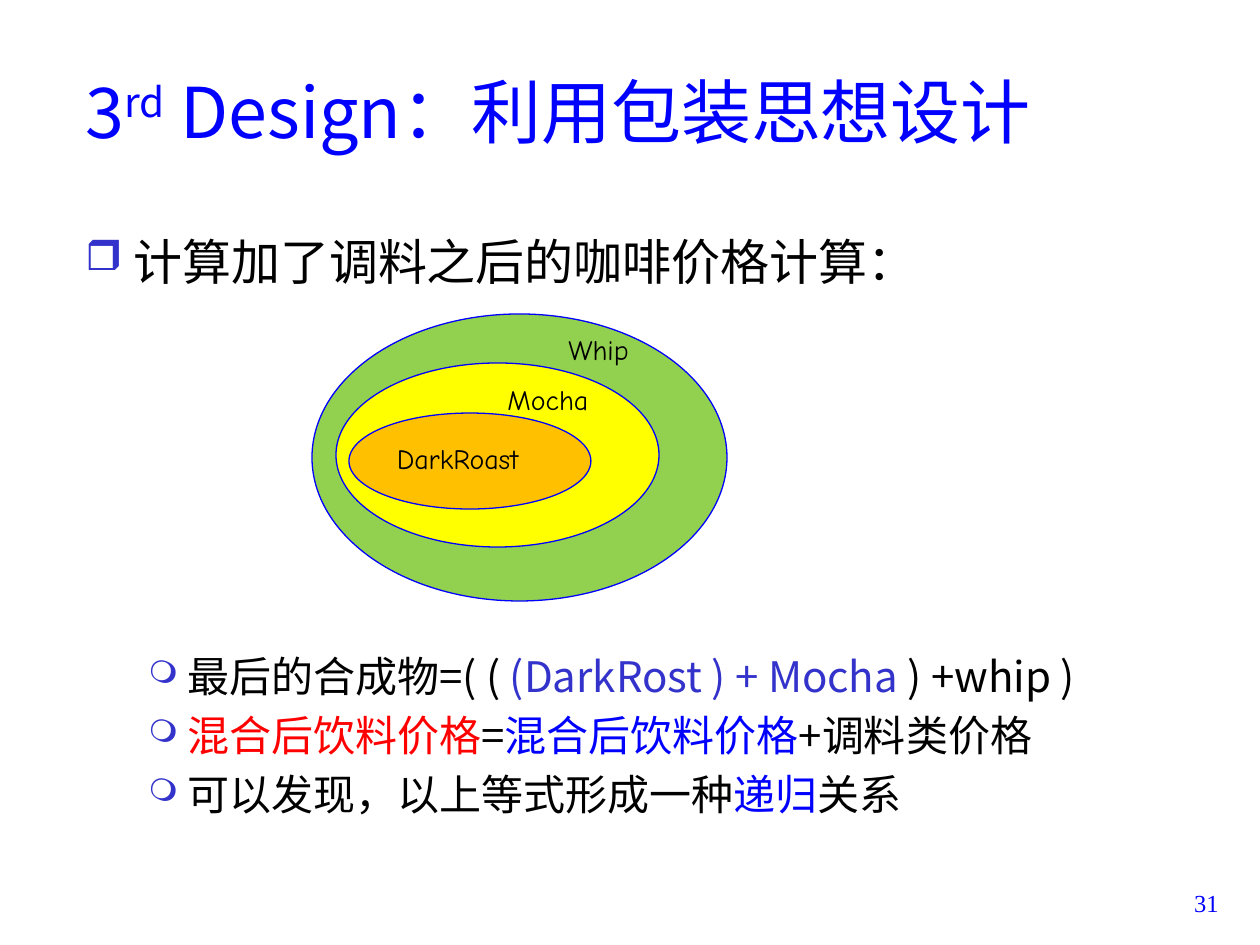
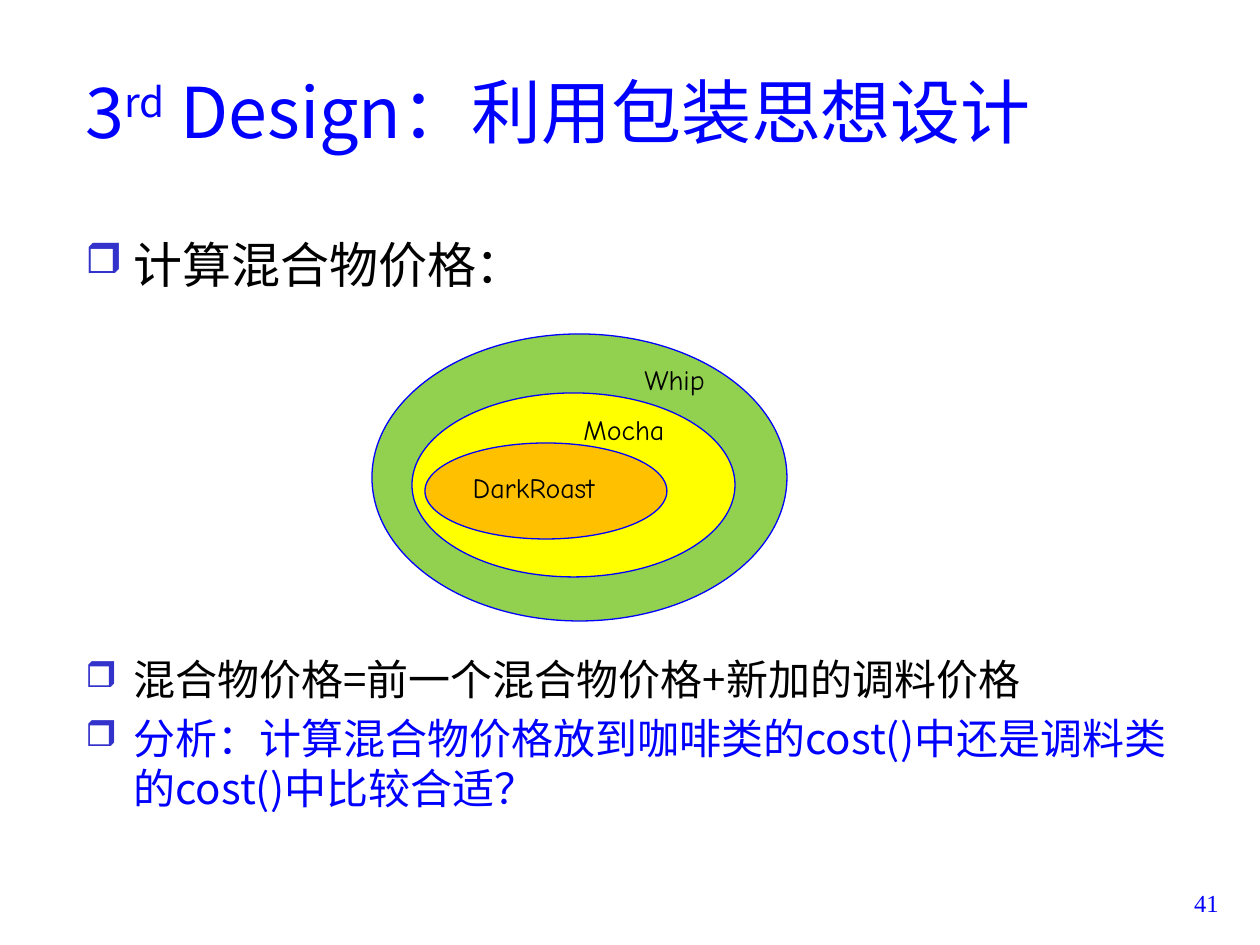
from dataclasses import dataclass
from typing import NamedTuple

from lxml.etree import SubElement
from pptx import Presentation
from pptx.dml.color import RGBColor
from pptx.enum.shapes import MSO_SHAPE
from pptx.enum.text import MSO_ANCHOR, MSO_AUTO_SIZE, PP_ALIGN
from pptx.oxml.ns import qn
from pptx.util import Emu, Pt

SCALE = 914400 / 126


@dataclass(frozen=True)
class Theme:
    sans: str = "Noto Sans CJK SC"
    comic: str = "Comic Neue"
    serif: str = "Times New Roman"
    black: str = "000000"
    blue: str = "0000FF"
    navy: str = "3333CC"
    red: str = "FF0000"
    green: str = "92D050"
    yellow: str = "FFFF00"
    orange: str = "FFC000"
    title: int = 40
    head: int = 28
    point: int = 24
    label: int = 16
    page: int = 14


THEME = Theme()


class Box(NamedTuple):
    left: int
    top: int
    width: int
    height: int


class Bit(NamedTuple):
    text: str
    color: str = THEME.black
    lift: int = 0


class Level(NamedTuple):
    mark: str
    share: int
    margin: int
    hang: int
    size: int
    line: int


class Point(NamedTuple):
    level: Level
    before: int
    bits: list[Bit]


class Ring(NamedTuple):
    box: Box
    fill: str


class Label(NamedTuple):
    text: str
    box: Box


class Page(NamedTuple):
    number: int
    body: Box
    cup: tuple[int, int]
    mix: tuple[int, int]
    points: list[Point]


HEAD = Level("❒", 85, 48, 48, THEME.head, 63)
MAIN = Level("❒", 85, 48, 48, THEME.point, 50)
SUB = Level("❍", 75, 102, 39, THEME.point, 50)
GAP, STEP = 361, 9

TITLE = [
    Bit("3", THEME.blue),
    Bit("rd", THEME.blue, 30),
    Bit(" Design：利用包装思想设计", THEME.blue),
]
TITLE_BOX = Box(73, 32, 1071, 158)
PAGE_BOX = Box(1147, 882, 84, 63)

CUP = Ring(Box(0, 0, 415, 287), THEME.green)
MIX = [
    Ring(Box(0, 0, 323, 184), THEME.yellow),
    Ring(Box(13, 50, 242, 96), THEME.orange),
]
LABELS = [
    Label("Mocha", Box(159, 20, 121, 40)),
    Label("Whip", Box(220, -30, 126, 40)),
]

PAGES = [
    Page(31, Box(73, 221, 1072, 639), (312, 314), (336, 363), [
        Point(HEAD, 0, [Bit("计算加了调料之后的咖啡价格计算：")]),
        Point(SUB, GAP, [
            Bit("最后的合成物=( ( "),
            Bit("(DarkRost ) + Mocha ", THEME.navy),
            Bit(") +whip )"),
        ]),
        Point(SUB, STEP, [
            Bit("混合后饮料价格", THEME.red),
            Bit("="),
            Bit("混合后饮料价格", THEME.blue),
            Bit("+调料类价格"),
        ]),
        Point(SUB, STEP, [
            Bit("可以发现，以上等式形成一种"),
            Bit("递归", THEME.blue),
            Bit("关系"),
        ]),
    ]),
    Page(41, Box(73, 224, 1142, 679), (372, 334), (412, 393), [
        Point(HEAD, 0, [Bit("计算混合物价格：")]),
        Point(MAIN, GAP, [Bit("混合物价格=前一个混合物价格+新加的调料价格")]),
        Point(MAIN, STEP, [
            Bit("分析：计算混合物价格放到咖啡类的cost()中还是调料类的cost()中比较合适？",
                THEME.blue),
        ]),
    ]),
]


def px(count: int) -> Emu:
    return Emu(round(count * SCALE))


def place(box: Box) -> list[Emu]:
    return [px(side) for side in box]


def shift(box: Box, spot: tuple[int, int]) -> Box:
    return box._replace(left=box.left + spot[0], top=box.top + spot[1])


def add_bits(para, bits: list[Bit], size: int, face: str) -> None:
    for bit in bits:
        run = para.add_run()
        run.text = bit.text
        run.font.size = Pt(size)
        run.font.color.rgb = RGBColor.from_string(bit.color)
        run.font.name = face
        props = run.font._element
        SubElement(props, qn("a:ea"), typeface=face)
        if bit.lift:
            props.set("baseline", str(bit.lift * 1000))


def add_frame(slide, box: Box):
    frame = slide.shapes.add_textbox(*place(box)).text_frame
    frame.word_wrap = True
    return frame


def add_title(slide) -> None:
    shape = slide.shapes.title
    shape.left, shape.top, shape.width, shape.height = place(TITLE_BOX)
    frame = shape.text_frame
    frame.auto_size = MSO_AUTO_SIZE.NONE
    frame.vertical_anchor = MSO_ANCHOR.MIDDLE
    para = frame.paragraphs[0]
    para.alignment = PP_ALIGN.LEFT
    add_bits(para, TITLE, THEME.title, THEME.sans)


def set_mark(para, level: Level) -> None:
    props = para._p.get_or_add_pPr()
    props.set("marL", str(px(level.margin)))
    props.set("indent", str(px(-level.hang)))
    tint = SubElement(props, qn("a:buClr"))
    SubElement(tint, qn("a:srgbClr"), val=THEME.navy)
    SubElement(props, qn("a:buSzPct"), val=str(level.share * 1000))
    SubElement(props, qn("a:buChar"), char=level.mark)


def add_body(slide, box: Box, points: list[Point]) -> None:
    frame = add_frame(slide, box)
    for rank, point in enumerate(points):
        para = frame.add_paragraph() if rank else frame.paragraphs[0]
        set_mark(para, point.level)
        para.line_spacing = px(point.level.line)
        para.space_before = px(point.before)
        add_bits(para, point.bits, point.level.size, THEME.sans)


def add_ring(slide, ring: Ring, spot: tuple[int, int]):
    shape = slide.shapes.add_shape(MSO_SHAPE.OVAL, *place(shift(ring.box, spot)))
    shape.shadow.inherit = False
    shape.fill.solid()
    shape.fill.fore_color.rgb = RGBColor.from_string(ring.fill)
    shape.line.color.rgb = RGBColor.from_string(THEME.blue)
    shape.line.width = Pt(0.75)
    return shape


def add_label(frame, text: str) -> None:
    para = frame.paragraphs[0]
    para.alignment = PP_ALIGN.LEFT
    para.line_spacing = 0.8
    add_bits(para, [Bit(text)], THEME.label, THEME.comic)


def add_drink(slide, page: Page) -> None:
    add_ring(slide, CUP, page.cup)
    rings = [add_ring(slide, ring, page.mix) for ring in MIX]
    core = rings[-1].text_frame
    core.vertical_anchor = MSO_ANCHOR.MIDDLE
    add_label(core, "DarkRoast")
    for label in LABELS:
        add_label(add_frame(slide, shift(label.box, page.mix)), label.text)


def add_number(slide, number: int) -> None:
    para = add_frame(slide, PAGE_BOX).paragraphs[0]
    para.alignment = PP_ALIGN.RIGHT
    add_bits(para, [Bit(str(number), THEME.blue)], THEME.page, THEME.serif)


def main() -> None:
    deck = Presentation()
    deck.slide_width, deck.slide_height = px(1260), px(945)
    for page in PAGES:
        slide = deck.slides.add_slide(deck.slide_layouts[5])
        add_title(slide)
        add_body(slide, page.body, page.points)
        add_number(slide, page.number)
        add_drink(slide, page)
    deck.save("out.pptx")


if __name__ == "__main__":
    main()
